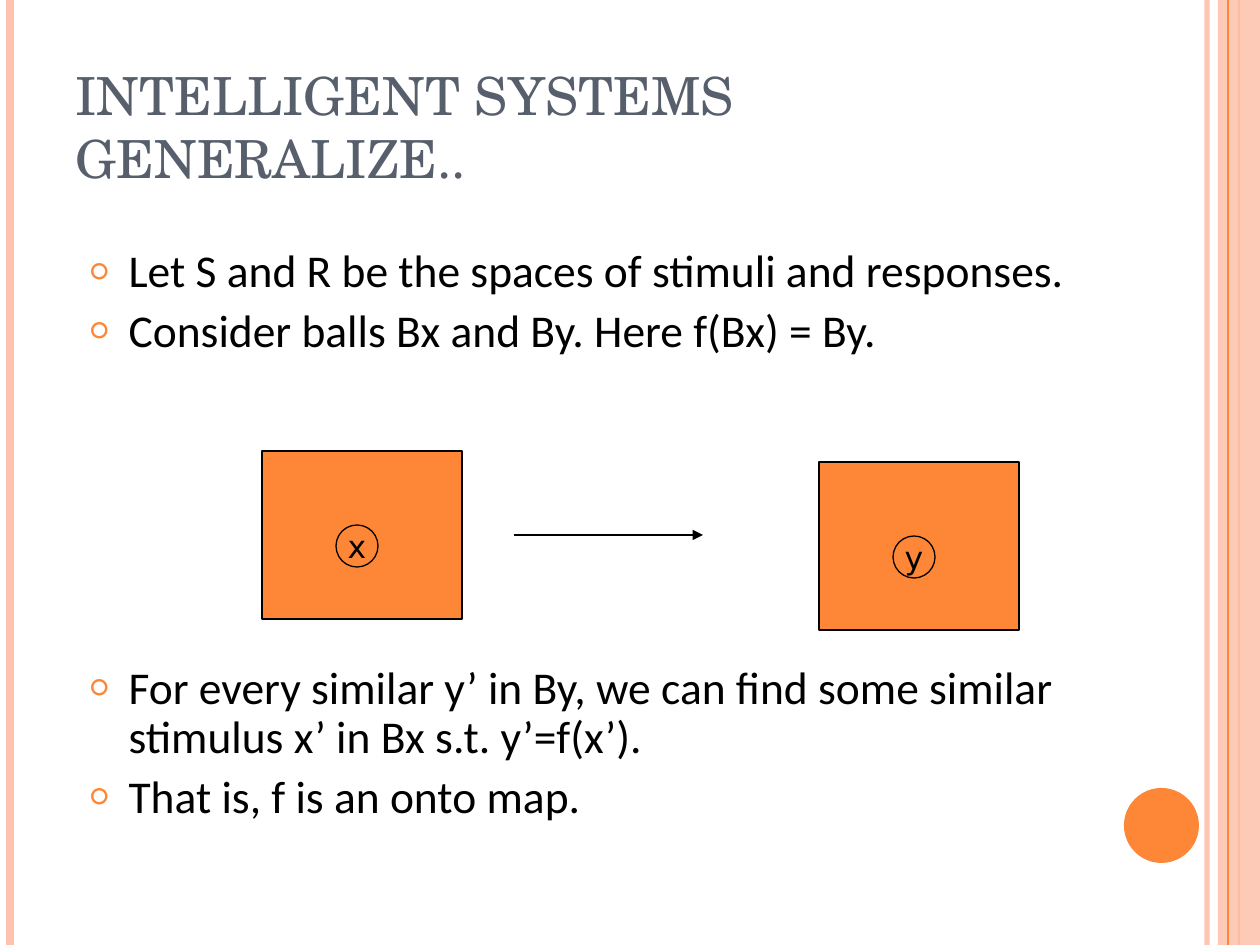
from pptx import Presentation
from pptx import util as u
from pptx.dml.color import RGBColor
from pptx.enum import shapes, text
from pptx.oxml import ns, xmlchemy

PX = u.Inches(1) / 126
WIDTH, HEIGHT = 1260, 945

ORANGE = RGBColor(0xFE, 0x86, 0x37)
PEACH = RGBColor(0xFE, 0xC3, 0xAE)
SLATE = RGBColor(0x57, 0x5F, 0x6D)
BLACK = RGBColor(0, 0, 0)


def px(*lengths):
    return [u.Emu(round(length * PX)) for length in lengths]


def add_element(parent, tag, **attributes):
    element = xmlchemy.OxmlElement(tag)
    for name, value in attributes.items():
        element.set(name, str(value))
    parent.append(element)
    return element


def set_opacity(shape, percent):
    for color in shape.element.spPr.iter(ns.qn("a:srgbClr")):
        add_element(color, "a:alpha", val=percent * 1000)


def write(paragraph, content, font, size, color, align=text.PP_ALIGN.LEFT,
          before=0, spacing=1.0):
    paragraph.alignment = align
    paragraph.space_before = u.Pt(before)
    paragraph.line_spacing = spacing
    run = paragraph.add_run()
    run.text = content
    run.font.name = font
    run.font.size = u.Pt(size)
    run.font.color.rgb = color


def add_bullet(paragraph, indent):
    properties = paragraph._p.get_or_add_pPr()
    properties.set("marL", str(indent))
    properties.set("indent", str(-indent))
    bullet_color = add_element(properties, "a:buClr")
    add_element(bullet_color, "a:srgbClr", val=ORANGE)
    add_element(properties, "a:buSzPct", val=70000)
    add_element(properties, "a:buFont", typeface="Calibri")
    add_element(properties, "a:buChar", char="○")


def add_block(slide, kind, box, fill, outline=None):
    shape = slide.shapes.add_shape(kind, *px(*box))
    shape.shadow.inherit = False
    shape.fill.solid()
    shape.fill.fore_color.rgb = fill
    if outline is None:
        shape.line.fill.background()
    else:
        shape.line.color.rgb = outline
        shape.line.width = u.Pt(0.75)
    return shape


def add_line(slide, start, end, color, width):
    line = slide.shapes.add_connector(
        shapes.MSO_CONNECTOR.STRAIGHT, *px(*start, *end))
    line.line.color.rgb = color
    line.line.width = u.Pt(width)
    add_element(line.element.spPr, "a:effectLst")
    return line


def place(placeholder, box, anchor):
    placeholder.left, placeholder.top, placeholder.width, placeholder.height = px(*box)
    frame = placeholder.text_frame
    frame.auto_size = text.MSO_AUTO_SIZE.NONE
    frame.word_wrap = True
    frame.vertical_anchor = anchor
    return frame


def add_frame(slide, box):
    left, top, width, height = box
    bottom = top + height

    def rule(x, color, weight):
        return add_line(slide, (left + x, top), (left + x, bottom), color, weight)

    set_opacity(rule(1207, PEACH, 3), 93)
    rule(10, PEACH, 4.5)
    rule(1239, ORANGE, 1.5)
    band = add_block(slide, shapes.MSO_SHAPE.RECTANGLE,
                     (left + 1218, top, width - 1218, height), PEACH)
    set_opacity(band, 87)
    rule(1228, ORANGE, 0.75)
    add_block(slide, shapes.MSO_SHAPE.OVAL, (left + 1124, top + 788, 75, 75), ORANGE)


def add_title(slide, box):
    frame = place(slide.shapes.title, box, text.MSO_ANCHOR.BOTTOM)
    write(frame.paragraphs[0], "INTELLIGENT SYSTEMS GENERALIZE..",
          "TeX Gyre Schola", 30, SLATE)


def add_points(slide, box):
    frame = place(slide.placeholders[1], box, text.MSO_ANCHOR.TOP)
    points = [
        ("Let S and R be the spaces of stimuli and responses.", 0),
        ("Consider balls Bx and By. Here f(Bx) = By.", 6),
        ("For every similar y’ in By, we can find some similar "
         "stimulus x’ in Bx s.t. y’=f(x’).", 176),
        ("That is, f is an onto map.", 6),
    ]
    indent, = px(38)
    for index, (content, before) in enumerate(points):
        paragraph = frame.add_paragraph() if index else frame.paragraphs[0]
        add_bullet(paragraph, indent)
        write(paragraph, content, "Calibri", 26, BLACK, before=before, spacing=0.9)


def add_space(slide, box, label):
    left, top, width, height = box
    add_block(slide, shapes.MSO_SHAPE.RECTANGLE, box, ORANGE, BLACK)
    ball = add_block(slide, shapes.MSO_SHAPE.OVAL,
                     (left + 74, top + 74, 42, 42), ORANGE, BLACK)
    frame = ball.text_frame
    frame.word_wrap = False
    frame.vertical_anchor = text.MSO_ANCHOR.MIDDLE
    write(frame.paragraphs[0], label, "DejaVu Sans", 18, BLACK,
          align=text.PP_ALIGN.CENTER)


def add_mapping(slide, box):
    left, top, width, height = box
    add_space(slide, (left, top, 200, 168), "x")
    add_space(slide, (left + width - 200, top + height - 168, 200, 168), "y")
    arrow = add_line(slide, (left + 252, top + 84), (left + 441, top + 84), BLACK, 0.75)
    add_element(arrow.line._get_or_add_ln(), "a:tailEnd", type="triangle")


def main():
    presentation = Presentation()
    presentation.slide_width, presentation.slide_height = px(WIDTH, HEIGHT)
    slide = presentation.slides.add_slide(presentation.slide_layouts[1])
    add_frame(slide, (0, 0, WIDTH, HEIGHT))
    add_title(slide, (63, 38, 1029, 157))
    add_points(slide, (78, 242, 1103, 620))
    add_mapping(slide, (262, 451, 757, 179))
    presentation.save("out.pptx")


if __name__ == "__main__":
    main()
